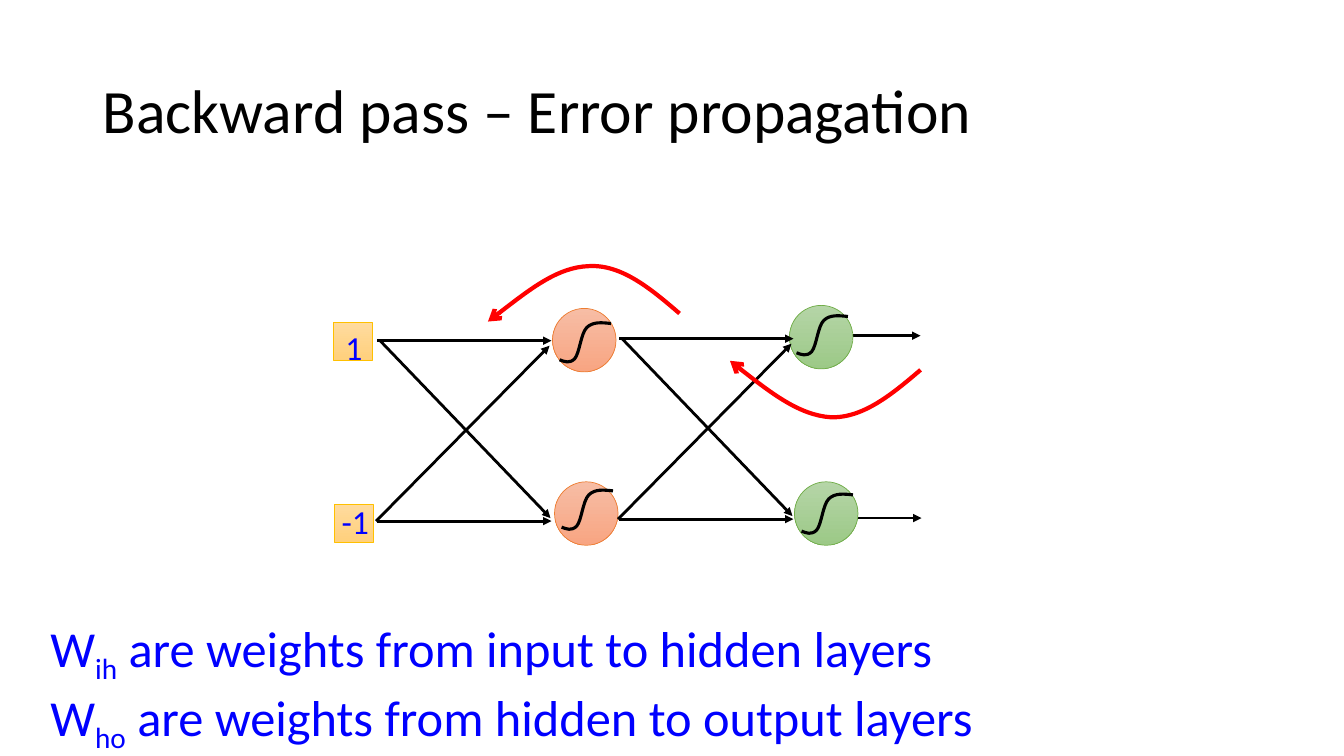
from pptx import Presentation
from pptx.dml.color import RGBColor
from pptx.enum import shapes, text
from pptx.oxml import parse_xml
from pptx.oxml.ns import nsdecls, qn
from pptx.util import Inches, Pt

COLORS = {"black": "000000", "blue": "0000FF", "red": "FF0000"}
# Gradient top, gradient bottom, outline
GRADIENTS = {
    "input": ("FFDB9E", "FFD07C", "FFC000"),
    "hidden": ("F7BDA5", "F8A582", "ED7D31"),
    "output": ("B5D5A7", "9CC987", "70AD47"),
}
ARROW = '<a:tailEnd %s type="%s"/>'

prs = Presentation()
prs.slide_width, prs.slide_height = Inches(13.33), Inches(7.5)
s = prs.slides.add_slide(prs.slide_layouts[6])


def add_text(box, paragraphs, size, color, **frame):
    """Add a text box; each paragraph is a list of (text, baseline) runs."""
    tf = s.shapes.add_textbox(*map(Inches, box)).text_frame
    for name, value in {"word_wrap": False, **frame}.items():
        setattr(tf, name, value)
    for i, runs in enumerate(paragraphs):
        p = tf.add_paragraph() if i else tf.paragraphs[0]
        for content, baseline in runs:
            r = p.add_run()
            r.text = content
            r.font.name, r.font.size = "Calibri", Pt(size)
            r.font.color.rgb = RGBColor.from_string(COLORS[color])
            if baseline:
                r.font._element.set("baseline", str(baseline))
    return tf


def add_curve(start, beziers, color, width):
    """Draw an open curve of cubic Bezier segments (control, control, end)."""
    builder = s.shapes.build_freeform(*map(Inches, start))
    builder.add_line_segments([tuple(map(Inches, seg[-1])) for seg in beziers], close=False)
    sp = builder.convert_to_shape()
    for segment, points in zip(list(sp._element.iter(qn("a:lnTo"))), beziers):
        pts = "".join(f'<a:pt x="{Inches(x) - sp.left}" y="{Inches(y) - sp.top}"/>'
                      for x, y in points)
        cubic = parse_xml(f'<a:cubicBezTo {nsdecls("a")}>{pts}</a:cubicBezTo>')
        segment.getparent().replace(segment, cubic)
    sp.shadow.inherit = False
    sp.fill.background()
    sp.line.color.rgb = RGBColor.from_string(COLORS[color])
    sp.line.width = Pt(width)
    return sp


tf = add_text((0.92, 0.4, 11.5, 1.45), [[("Backward pass – Error propagation", 0)]],
              44, "black", word_wrap=True, vertical_anchor=text.MSO_ANCHOR.MIDDLE)
tf.paragraphs[0].line_spacing = 0.9

# Nodes: layer, preset, left, top, size
nodes = [
    ("hidden", "OVAL", 5.48, 3.06, 0.63),
    ("hidden", "OVAL", 5.5, 4.78, 0.63),
    ("output", "OVAL", 7.83, 3.03, 0.63),
    ("output", "OVAL", 7.88, 4.78, 0.63),
    ("input", "RECTANGLE", 3.31, 3.2, 0.38),
    ("input", "RECTANGLE", 3.32, 5, 0.38),
]
for layer, preset, left, top, size in nodes:
    sp = s.shapes.add_shape(getattr(shapes.MSO_SHAPE, preset),
                            *map(Inches, (left, top, size, size)))
    sp.shadow.inherit = False
    *stops, outline = GRADIENTS[layer]
    sp.fill.gradient()
    sp.fill.gradient_angle = 270
    for stop, color in zip(sp.fill.gradient_stops, stops):
        stop.color.rgb = RGBColor.from_string(color)
    sp.line.color.rgb = RGBColor.from_string(outline)
    sp.line.width = Pt(0.5)

# Output arrows, then the two fully connected layers
outputs = [(8.42, 5.14, 9.14, 5.14), (8.42, 3.33, 9.13, 3.33)]
layer_links = [
    (x1 + dx, y1 + dy, x2 + dx, y2 + dy)
    for dx, dy in ((0, 0), (2.4, -0.02))
    for x1, y1, x2, y2 in (
        (3.73, 5.17, 5.45, 3.43),
        (3.77, 3.38, 5.46, 5.14),
        (3.74, 5.17, 5.47, 5.17),
        (3.74, 3.38, 5.47, 3.38))
]
for ends in outputs + layer_links:
    link = s.shapes.add_connector(shapes.MSO_CONNECTOR.STRAIGHT, *map(Inches, ends))
    link.line.color.rgb = RGBColor.from_string(COLORS["black"])
    link.line.width = Pt(2)
    link.line._get_or_add_ln().append(parse_xml(ARROW % (nsdecls("a"), "triangle")))
    link._element.spPr.append(parse_xml("<a:effectLst %s/>" % nsdecls("a")))
    if ends in outputs:  # these start behind the neurons
        s.shapes._spTree.insert(2, link._element)

# Sigmoid inside each neuron, as offsets from its right end
sigmoid = [
    ((-0.09, -0.01), (-0.18, -0.02), (-0.24, 0.04)),
    ((-0.3, 0.1), (-0.31, 0.29), (-0.36, 0.35)),
    ((-0.41, 0.4), (-0.46, 0.38), (-0.51, 0.36)),
]
for x, y in ((6.06, 3.21), (6.08, 4.87), (8.41, 3.14), (8.46, 4.91)):
    add_curve((x, y), [[(x + dx, y + dy) for dx, dy in seg] for seg in sigmoid],
              "black", 2.25)

for label, box in (("1", (3.32, 3.19, 0.38, 0.5)), ("-1", (3.26, 4.92, 0.53, 0.5))):
    tf = add_text(box, [[(label, 0)]], 24, "blue")
    tf.paragraphs[0].alignment = text.PP_ALIGN.CENTER

# Error flowing backward through the layers
error_flows = [
    ((9.13, 3.67), [((8.85, 3.91), (8.56, 4.15), (8.24, 4.14)),
                    ((7.93, 4.12), (7.58, 3.85), (7.24, 3.58))]),
    ((6.74, 3.11), [((6.45, 2.86), (6.16, 2.62), (5.84, 2.64)),
                    ((5.53, 2.65), (5.19, 2.92), (4.84, 3.19))]),
]
for start, beziers in error_flows:
    flow = add_curve(start, beziers, "red", 3)
    flow.line._get_or_add_ln().append(parse_xml(ARROW % (nsdecls("a"), "arrow")))

add_text((0.4, 6.07, 9.48, 1.31),
         [[("W", 0), (sub, -25000), (f" are weights from {layers} layers", 0)]
          for sub, layers in (("ih", "input to hidden"), ("ho", "hidden to output"))],
         36, "blue")

prs.save("out.pptx")
